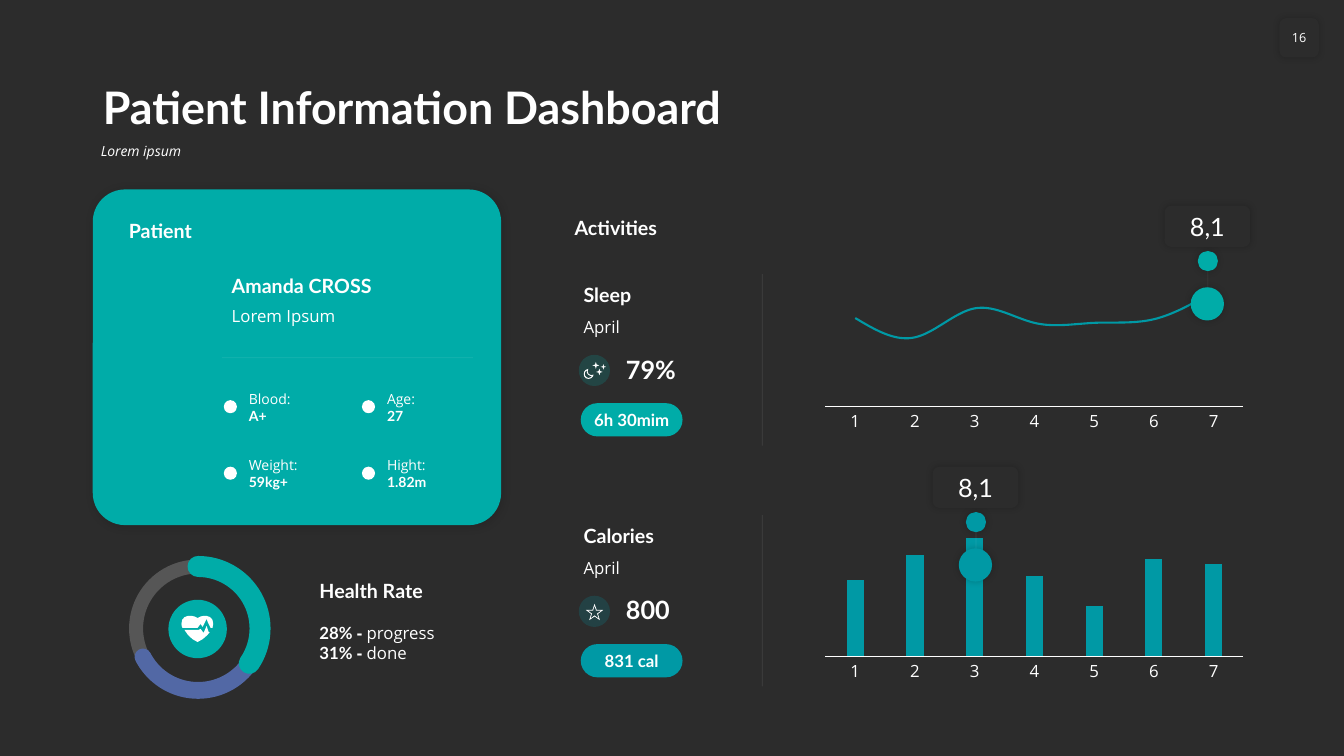
import math

from lxml import etree
from pptx import Presentation
from pptx import util as u
from pptx.chart.data import CategoryChartData
from pptx.dml.color import RGBColor
from pptx.enum import chart as charts, shapes, text
from pptx.oxml.ns import qn

PX = 9144  # 100 px to the inch
COLORS = {"background": "2C2C2C", "white": "FFFFFF", "teal": "00ACA8", "cyan": "0099A5", "blue": "5268A5"}
HEAD, BODY = "Lato", "Open Sans"
SHAPE = shapes.MSO_SHAPE
ANCHOR = text.MSO_ANCHOR
CENTER = text.PP_ALIGN.CENTER
PLAIN_SHADOW = (20, 5, 0)  # opacity %, blur pt, distance pt


def rgb(name):
    return RGBColor.from_string(COLORS[name])


def emu(*lengths):
    return [u.Emu(length * PX) for length in lengths]


def set_opacity(shape, percent):
    for color in shape.element.spPr.iter(qn("a:srgbClr")):
        etree.SubElement(color, qn("a:alpha"), val=str(percent * 1000))


def set_shadow(shape, opacity, blur, distance):
    effects = shape.element.spPr.find(qn("a:effectLst"))
    shadow = etree.SubElement(effects, qn("a:outerShdw"), blurRad=str(u.Pt(blur)), dist=str(u.Pt(distance)),
                              dir="2700000", algn="tl", rotWithShape="0")
    color = etree.SubElement(shadow, qn("a:srgbClr"), val="000000")
    etree.SubElement(color, qn("a:alpha"), val=str(opacity * 1000))


def style_font(font, size, name=BODY, bold=False):
    font.size, font.name, font.bold = u.Pt(size), name, bold
    font.color.rgb = rgb("white")


def add_shape(slide, kind, box, fill=None, line=None, width=0, opacity=None, shadow=None, radius=None):
    shape = slide.shapes.add_shape(kind, *emu(*box))
    if radius is not None:
        shape.adjustments[0] = radius
    shape.shadow.inherit = False
    if fill:
        shape.fill.solid()
        shape.fill.fore_color.rgb = rgb(fill)
    else:
        shape.fill.background()
    if line:
        shape.line.color.rgb = rgb(line)
        shape.line.width = u.Pt(width)
    else:
        shape.line.fill.background()
    if opacity:
        set_opacity(shape, opacity)
    if shadow:
        set_shadow(shape, *shadow)
    return shape


def label_shape(shape, label, size, name, bold=False, margins=(0, 0), wrap=True):
    frame = shape.text_frame
    frame.margin_left = frame.margin_right = u.Emu(margins[0] * PX)
    frame.margin_top = frame.margin_bottom = u.Emu(margins[1] * PX)
    frame.word_wrap, frame.vertical_anchor = wrap, ANCHOR.MIDDLE
    paragraph = frame.paragraphs[0]
    paragraph.text, paragraph.alignment = label, CENTER
    style_font(paragraph.font, size, name, bold)


def add_text(slide, box, lines, size, anchor=ANCHOR.TOP):
    """Each line is a list of (words, font name, bold) runs."""
    frame = slide.shapes.add_textbox(*emu(*box)).text_frame
    frame.word_wrap, frame.vertical_anchor = True, anchor
    frame.auto_size = text.MSO_AUTO_SIZE.SHAPE_TO_FIT_TEXT
    for index, runs in enumerate(lines):
        paragraph = frame.add_paragraph() if index else frame.paragraphs[0]
        for words, name, bold in runs:
            run = paragraph.add_run()
            run.text = words
            style_font(run.font, size, name, bold)


def add_heading(slide, box, words, size=14):
    add_text(slide, box, [[(words, HEAD, True)]], size, ANCHOR.BOTTOM)


def add_rule(slide, *ends):
    rule = slide.shapes.add_connector(shapes.MSO_CONNECTOR.STRAIGHT, *emu(*ends))
    rule.line.color.rgb = rgb("white")
    rule.line.width = u.Pt(0.5)
    set_opacity(rule, 10)
    etree.SubElement(rule.element.spPr, qn("a:effectLst"))


def add_icon(parent, left, top, *contours):
    """Contours are drawn in tenths of a px from the icon's corner."""
    builder = parent.build_freeform(*contours[0][0], scale=PX / 10)
    builder.add_line_segments(contours[0][1:], close=True)
    for contour in contours[1:]:
        builder.move_to(*contour[0])
        builder.add_line_segments(contour[1:], close=True)
    icon = builder.convert_to_shape(*emu(left, top))
    icon.shadow.inherit = False
    icon.fill.solid()
    icon.fill.fore_color.rgb = rgb("white")
    icon.line.fill.background()


def star(center_x, center_y, outer, inner, points):
    corners = []
    for step in range(2 * points):
        radius, angle = (inner if step % 2 else outer), math.pi * (step / points - 0.5)
        corners.append((round(center_x + radius * math.cos(angle)), round(center_y + radius * math.sin(angle))))
    return corners


def draw_header(slide, left, top):
    title, subtitle = slide.shapes.title, slide.placeholders[1]
    for holder, box, words in ((title, (left, top, 1150, 80), "Patient Information Dashboard"),
                               (subtitle, (left - 2, top + 80, 1152, 36), "Lorem ipsum")):
        holder.left, holder.top, holder.width, holder.height = emu(*box)
        holder.text_frame.text = words
        holder.text_frame.auto_size = text.MSO_AUTO_SIZE.NONE
        paragraph = holder.text_frame.paragraphs[0]
        paragraph.alignment, paragraph.line_spacing = text.PP_ALIGN.LEFT, 0.9
    title.text_frame.vertical_anchor = ANCHOR.BOTTOM
    style_font(title.text_frame.paragraphs[0].font, 32, HEAD, True)
    paragraph.space_before = u.Pt(10)
    style_font(paragraph.font, 10)
    paragraph.font.italic = True
    properties = paragraph._p.get_or_add_pPr()
    properties.set("marL", "0")
    properties.set("indent", "0")
    properties.insert_element_before(etree.Element(qn("a:buNone")), "a:tabLst", "a:defRPr", "a:extLst")
    number = add_shape(slide, SHAPE.ROUNDED_RECTANGLE, (1269, 18, 39, 39), "background", shadow=PLAIN_SHADOW)
    label_shape(number, "16", 9, BODY, margins=(0, 5), wrap=False)


def draw_patient_card(slide, left, top):
    add_shape(slide, SHAPE.ROUNDED_RECTANGLE, (left, top, 405, 333), "teal", shadow=(15, 6, 1), radius=0.096)
    add_heading(slide, (left + 26, top + 23, 361, 34), "Patient")
    add_heading(slide, (left + 128, top + 78, 259, 34), "Amanda CROSS")
    add_text(slide, (left + 128, top + 110, 259, 30), [[("Lorem Ipsum", BODY, False)]], 12)
    add_rule(slide, left + 128, top + 167, left + 377, top + 167)
    facts = [("Blood:", "A+"), ("Age:", "27"), ("Weight:", "59kg+"), ("Hight:", "1.82m")]
    for index, (name, value) in enumerate(facts):
        x, y = left + 130 + index % 2 * 137, top + 194 + index // 2 * 66
        add_shape(slide, SHAPE.OVAL, (x, y + 15, 13, 13), "white")
        add_text(slide, (x + 15, y, 95, 44), [[(name, BODY, False)], [(value, HEAD, True)]], 10, ANCHOR.MIDDLE)


def draw_health_rate(slide, left, top):
    ring = (left, top, 123, 123)
    add_shape(slide, SHAPE.OVAL, ring, line="white", width=10, opacity=20)
    add_shape(slide, SHAPE.OVAL, (left + 32, top + 33, 58, 58), "teal")
    for color, width, start, end in (("blue", 12, 20.17, 91.58), ("teal", 15, 162, 20.54)):
        arc = add_shape(slide, SHAPE.ARC, ring, line=color, width=width)
        arc.adjustments[0], arc.adjustments[1] = start, end
        arc.element.spPr.find(qn("a:ln")).set("cap", "rnd")
    # Heart split by a pulse line
    upper = [(10, 120), (2, 100), (0, 80), (7, 40), (30, 13), (65, 0), (100, 0), (130, 7), (160, 22), (190, 7),
             (220, 0), (250, 0), (285, 13), (308, 40), (315, 80), (308, 120), (290, 120), (260, 60), (250, 30),
             (210, 110), (190, 80), (160, 120)]
    lower = [(30, 140), (170, 140), (190, 130), (220, 170), (250, 100), (270, 160), (280, 165), (250, 198),
             (210, 232), (160, 260), (110, 232), (65, 190)]
    add_icon(slide.shapes, left + 45, top + 49, upper, lower)
    add_heading(slide, (left + 172, top + 7, 172, 34), "Health Rate")
    rates = [[(f"{rate} ", HEAD, True), ("- ", BODY, True), (state, BODY, False)]
             for rate, state in (("28%", "progress"), ("31%", "done"))]
    add_text(slide, (left + 172, top + 51, 172, 50), rates, 12)


def draw_metric(slide, left, top, name, value, amount, color):
    add_heading(slide, (left, top + 3, 166, 34), name)
    add_text(slide, (left, top + 37, 166, 30), [[("April", BODY, False)]], 12)
    add_shape(slide, SHAPE.OVAL, (left + 5, top + 80, 31, 31), color, opacity=20)
    add_heading(slide, (left + 42, top + 74, 124, 40), value, 18)
    pill = add_shape(slide, SHAPE.ROUNDED_RECTANGLE, (left + 7, top + 128, 101, 33), color, radius=0.5)
    label_shape(pill, amount, 12, HEAD, True)
    add_rule(slide, left + 187, top + 170, left + 187, top)


def draw_night_icon(slide, left, top):
    group = slide.shapes.add_group_shape().shapes
    outer = [(45, 0), (20, 10), (5, 28), (0, 50), (5, 75), (22, 93), (48, 100), (75, 92), (92, 75), (97, 57),
             (80, 62), (60, 58), (45, 45), (39, 25)]
    inner = [(30, 14), (15, 30), (10, 50), (15, 70), (30, 85), (48, 90), (68, 84), (82, 71), (60, 68), (42, 55),
             (31, 38)]
    add_icon(group, left, top + 7, outer, inner)
    for x, y, outer_radius in ((120, 35, 35), (155, 100, 33), (195, 50, 28)):
        corners = star(x, y, outer_radius, outer_radius // 3, 4)
        add_icon(group, left, top, corners)


def draw_chart(slide, left, top, kind, values, low, plot_top, plot_height):
    data = CategoryChartData()
    data.categories = [str(day) for day in range(1, 8)]
    data.add_series("Series 1", values)
    chart = slide.shapes.add_chart(kind, *emu(left, top, 432, 158), data).chart
    chart.has_legend = chart.has_title = False
    style_font(chart.font, 12)
    axis = chart.category_axis
    axis.major_tick_mark = charts.XL_TICK_MARK.NONE
    axis.format.line.color.rgb = rgb("white")
    axis.format.line.width = u.Pt(0.75)
    style_font(axis.tick_labels.font, 12)
    scale = chart.value_axis
    scale.minimum_scale, scale.maximum_scale = low, 100
    scale.has_major_gridlines = scale.visible = False
    plot, series = chart.plots[0], chart.plots[0].series[0]
    plot.vary_by_categories = False
    if kind == charts.XL_CHART_TYPE.LINE:
        series.smooth = True
        series.format.line.color.rgb = rgb("cyan")
        series.format.line.width = u.Pt(1.5)
        series.marker.style = charts.XL_MARKER_STYLE.NONE
    else:
        plot.gap_width = 250
        series.format.fill.solid()
        series.format.fill.fore_color.rgb = rgb("cyan")
    area = chart._chartSpace.chart.plotArea
    for old in area.findall(qn("c:layout")):
        area.remove(old)
    layout = etree.Element(qn("c:layout"))
    area.insert(0, layout)
    manual = etree.SubElement(layout, qn("c:manualLayout"))
    for tag, value in (("layoutTarget", "inner"), ("xMode", "edge"), ("yMode", "edge"), ("x", 0.02),
                       ("y", plot_top), ("w", 0.96), ("h", plot_height)):
        etree.SubElement(manual, qn(f"c:{tag}"), val=str(value))


def draw_callout(slide, left, top, color):
    add_shape(slide, SHAPE.OVAL, (left + 26, top + 81, 33, 33), color, shadow=PLAIN_SHADOW)
    add_rule(slide, left + 43, top + 65, left + 43, top + 81)
    add_shape(slide, SHAPE.OVAL, (left + 33, top + 45, 20, 20), color, shadow=PLAIN_SHADOW)
    bubble = add_shape(slide, SHAPE.ROUNDED_RECTANGLE, (left, top, 85, 41), "background", shadow=PLAIN_SHADOW)
    label_shape(bubble, "8,1", 18, HEAD, margins=(8, 5))


def main():
    presentation = Presentation()
    presentation.slide_width, presentation.slide_height = emu(1333, 750)
    slide = presentation.slides.add_slide(presentation.slide_layouts[1])
    slide.background.fill.solid()
    slide.background.fill.fore_color.rgb = rgb("background")
    draw_header(slide, 92, 58)
    draw_patient_card(slide, 92, 188)
    draw_health_rate(slide, 135, 562)
    # Activities
    add_heading(slide, (560, 208, 381, 34), "Activities")
    draw_metric(slide, 569, 272, "Sleep", "79%", "6h 30mim", "teal")
    draw_chart(slide, 810, 275, charts.XL_CHART_TYPE.LINE, (78, 62, 86, 74, 74, 77, 100), 5, 0.09, 0.72)
    draw_callout(slide, 1155, 204, "teal")
    draw_night_icon(slide, 579, 359)
    draw_metric(slide, 569, 511, "Calories", "800", "831 cal", "cyan")
    draw_chart(slide, 810, 523, charts.XL_CHART_TYPE.COLUMN_CLUSTERED, (90, 96, 100, 91, 84, 95, 94), 72, 0.07, 0.74)
    draw_callout(slide, 925, 463, "cyan")
    add_icon(slide.shapes, 581, 599, star(87, 90, 90, 36, 5), star(87, 90, 70, 26, 5))
    presentation.save("out.pptx")


if __name__ == "__main__":
    main()
